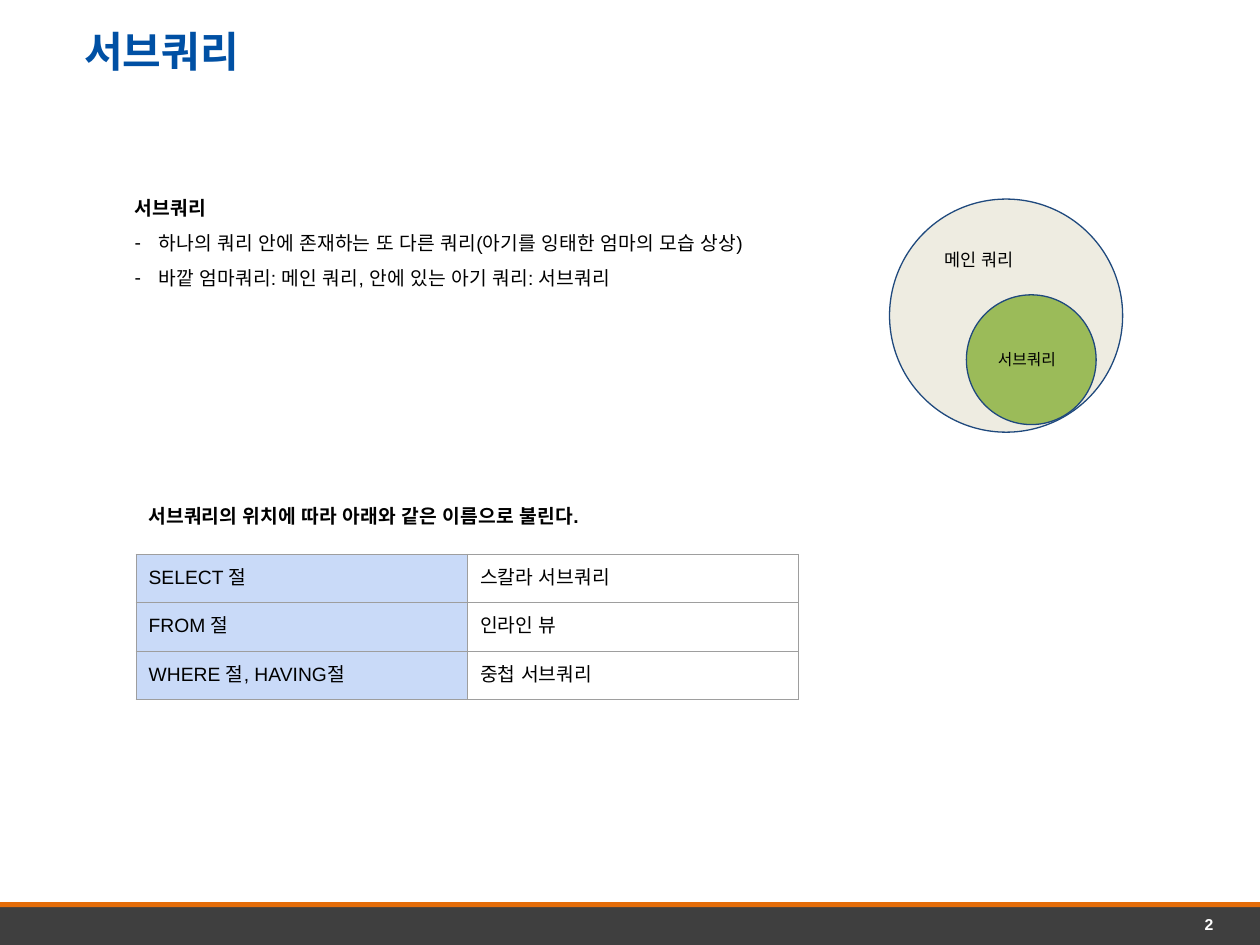
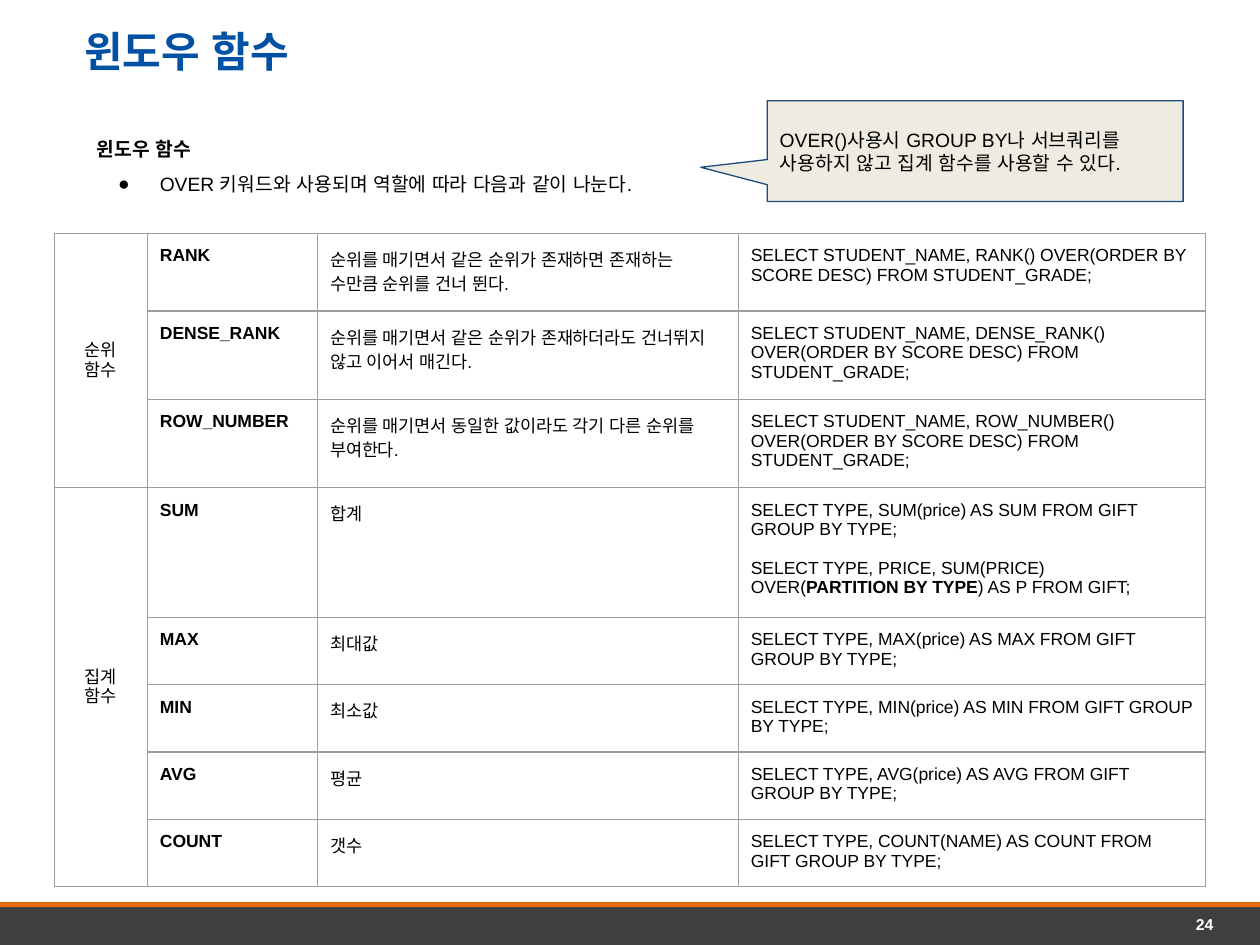
from lxml import etree
from pptx import Presentation
from pptx.dml.color import RGBColor
from pptx.enum.shapes import MSO_SHAPE
from pptx.enum.text import MSO_ANCHOR, PP_ALIGN
from pptx.oxml.ns import qn
from pptx.util import Inches, Pt

RECTANGLE = MSO_SHAPE.RECTANGLE
ELLIPSE = MSO_SHAPE.OVAL
CALLOUT = MSO_SHAPE.RECTANGULAR_CALLOUT
TOP, MIDDLE = MSO_ANCHOR.TOP, MSO_ANCHOR.MIDDLE
LEFT, CENTER, RIGHT = PP_ALIGN.LEFT, PP_ALIGN.CENTER, PP_ALIGN.RIGHT

FONT = "Arial"
BLACK, WHITE = "000000", "FFFFFF"
TITLE_BLUE, OUTLINE_BLUE, CELL_BLUE = "0050A4", "1F497D", "C9DAF8"
BAND_GRAY, BAND_ORANGE = "3F3F3F", "E36C09"
BEIGE, GREEN, BORDER_GRAY = "EEECE1", "9BBB59", "9E9E9E"
TEXT_INSETS = (0.1, 0.05, 0.1, 0.05)
EVEN_INSETS = (0.1, 0.1, 0.1, 0.1)

# Content of the subquery slide
SUBQUERY_HEADING = "서브쿼리"
SUBQUERY_POINTS = [
    "하나의 쿼리 안에 존재하는 또 다른 쿼리(아기를 잉태한 엄마의 모습 상상)",
    "바깥 엄마쿼리: 메인 쿼리, 안에 있는 아기 쿼리: 서브쿼리",
]
NAMES_HEADING = "서브쿼리의 위치에 따라 아래와 같은 이름으로 불린다."
SUBQUERY_NAMES = [
    ("SELECT 절", "스칼라 서브쿼리"),
    ("FROM 절", "인라인 뷰"),
    ("WHERE 절, HAVING절", "중첩 서브쿼리"),
]

# Content of the window function slide
WINDOW_HEADING = "윈도우 함수"
WINDOW_POINTS = ["OVER 키워드와 사용되며 역할에 따라 다음과 같이 나눈다."]
OVER_NOTE = "OVER()사용시 GROUP BY나 서브쿼리를 사용하지 않고 집계 함수를 사용할 수 있다."
# Each function: name, meaning, row height, queries (a tuple is a query in parts, odd ones bold)
FUNCTION_GROUPS = [
    ("순위 함수", [
        ("RANK", "순위를 매기면서 같은 순위가 존재하면 존재하는 수만큼 순위를 건너 뛴다.", 0.54,
         ["SELECT STUDENT_NAME, RANK() OVER(ORDER BY SCORE DESC) FROM STUDENT_GRADE;"]),
        ("DENSE_RANK", "순위를 매기면서 같은 순위가 존재하더라도 건너뛰지 않고 이어서 매긴다.", 0.7,
         ["SELECT STUDENT_NAME, DENSE_RANK() OVER(ORDER BY SCORE DESC) FROM STUDENT_GRADE;"]),
        ("ROW_NUMBER", "순위를 매기면서 동일한 값이라도 각기 다른 순위를 부여한다.", 0.7,
         ["SELECT STUDENT_NAME, ROW_NUMBER() OVER(ORDER BY SCORE DESC) FROM STUDENT_GRADE;"]),
    ]),
    ("집계 함수", [
        ("SUM", "합계", 1.03,
         ["SELECT TYPE, SUM(price) AS SUM FROM GIFT GROUP BY TYPE;",
          ("SELECT TYPE, PRICE, SUM(PRICE) OVER(", "PARTITION BY TYPE", ") AS P FROM GIFT;")]),
        ("MAX", "최대값", 0.53, ["SELECT TYPE, MAX(price) AS MAX FROM GIFT GROUP BY TYPE;"]),
        ("MIN", "최소값", 0.53, ["SELECT TYPE, MIN(price) AS MIN FROM GIFT GROUP BY TYPE;"]),
        ("AVG", "평균", 0.53, ["SELECT TYPE, AVG(price) AS AVG FROM GIFT GROUP BY TYPE;"]),
        ("COUNT", "갯수", 0.53, ["SELECT TYPE, COUNT(NAME) AS COUNT FROM GIFT GROUP BY TYPE;"]),
    ]),
]
FUNCTION_COLUMNS = [0.74, 1.35, 3.34, 3.71]


def color(value):
    return RGBColor.from_string(value)


def write(para, text, size, fill=BLACK, bold=False, align=LEFT, spacing=None,
          before=None, bullet=None, indent=(0, 0)):
    """Fill a paragraph; text given as a tuple has its odd parts in bold."""
    para.alignment = align
    if spacing:
        para.line_spacing = spacing
    if before:
        para.space_before = Pt(before)
    properties = para._p.get_or_add_pPr()
    if bullet:
        margin, hanging = indent
        properties.set("marL", str(Inches(margin)))
        properties.set("indent", str(Inches(hanging)))
        bullet_color = etree.SubElement(properties, qn("a:buClr"))
        etree.SubElement(bullet_color, qn("a:srgbClr"), val=BLACK)
        etree.SubElement(properties, qn("a:buFont"), typeface=FONT)
        etree.SubElement(properties, qn("a:buChar"), char=bullet)
    font = para.font
    font.size, font.bold, font.name = Pt(size), bold, FONT
    font.color.rgb = color(fill)
    etree.SubElement(properties.find(qn("a:defRPr")), qn("a:ea"), typeface=FONT)
    parts = text if isinstance(text, tuple) else (text,)
    for position, part in enumerate(parts):
        span = para.add_run()
        span.text = part
        if len(parts) > 1:
            span.font.bold = position % 2 == 1


def set_frame(frame, insets, anchor=TOP):
    frame.word_wrap = True
    frame.vertical_anchor = anchor
    (frame.margin_left, frame.margin_top,
     frame.margin_right, frame.margin_bottom) = map(Inches, insets)


def add_text(page, place, text, size, insets=TEXT_INSETS, **style):
    box = page.shapes.add_textbox(*map(Inches, place))
    set_frame(box.text_frame, insets)
    write(box.text_frame.paragraphs[0], text, size, **style)
    return box.text_frame


def add_points(page, place, heading, points, bullet, indent):
    frame = add_text(page, place, heading, 11, bold=True, spacing=1.5)
    for point in points:
        write(frame.add_paragraph(), point, 11, spacing=1.5, bullet=bullet, indent=indent)


def add_shape(page, kind, place, fill, outline=None, text=None, size=11):
    shape = page.shapes.add_shape(kind, *map(Inches, place))
    shape.shadow.inherit = False
    shape.fill.solid()
    shape.fill.fore_color.rgb = color(fill)
    if outline:
        shape.line.color.rgb = color(outline)
        shape.line.width = Pt(0.75)
    else:
        shape.line.fill.background()
    if text:
        set_frame(shape.text_frame, EVEN_INSETS, MIDDLE)
        write(shape.text_frame.paragraphs[0], text, size)
    return shape


def add_grid(page, left, top, widths, heights):
    """Add a bordered table without style bands."""
    place = map(Inches, (left, top, sum(widths), sum(heights)))
    table = page.shapes.add_table(len(heights), len(widths), *place).table
    table.first_row = table.horz_banding = False
    for column, width in zip(table.columns, widths):
        column.width = Inches(width)
    for row, height in zip(table.rows, heights):
        row.height = Inches(height)
    for cell in table.iter_cells():
        cell.margin_left = cell.margin_right = Inches(0.1)
        cell.margin_top = cell.margin_bottom = Inches(0.1)
        cell.fill.background()
        properties = cell._tc.get_or_add_tcPr()
        for position, side in enumerate(("lnL", "lnR", "lnT", "lnB")):
            border = etree.Element(qn("a:" + side), w=str(Pt(0.75)))
            paint = etree.SubElement(border, qn("a:solidFill"))
            etree.SubElement(paint, qn("a:srgbClr"), val=BORDER_GRAY)
            properties.insert(position, border)
    return table


def add_page(deck, title, number):
    """Add a blank page with the shared bands, page number and title."""
    page = deck.slides.add_slide(deck.slide_layouts[6])
    add_shape(page, RECTANGLE, (0, 7.19, 10, 0.31), BAND_GRAY)
    add_shape(page, RECTANGLE, (0, 7.16, 10, 0.04), BAND_ORANGE)
    add_text(page, (6.98, 7.26, 2.65, 0.15), str(number), 9, insets=(0, 0, 0, 0),
             fill=WHITE, bold=True, align=RIGHT)
    add_text(page, (0, 0, 10, 0.65), title, 24, insets=(0.67, 0.2, 0.1, 0.05),
             fill=TITLE_BLUE, bold=True)
    return page


def build_subquery_page(deck):
    page = add_page(deck, SUBQUERY_HEADING, 2)
    add_points(page, (0.97, 1.42, 6.3, 0.84), SUBQUERY_HEADING, SUBQUERY_POINTS,
               "-", (0.19, -0.19))

    # Names by position
    table = add_grid(page, 1.08, 4.4, [2.63] * 2, [0.38] * len(SUBQUERY_NAMES))
    for row, texts in enumerate(SUBQUERY_NAMES):
        for column, text in enumerate(texts):
            write(table.cell(row, column).text_frame.paragraphs[0], text, 11)
        clause_cell = table.cell(row, 0)
        clause_cell.fill.solid()
        clause_cell.fill.fore_color.rgb = color(CELL_BLUE)

    # Subquery inside the main query
    add_shape(page, ELLIPSE, (7.06, 1.58, 1.85, 1.85), BEIGE, OUTLINE_BLUE)
    add_shape(page, ELLIPSE, (7.67, 2.34, 1.03, 1.03), GREEN, OUTLINE_BLUE, "서브쿼리", 9)
    add_text(page, (7.4, 1.89, 1.5, 0.37), "메인 쿼리", 10, insets=EVEN_INSETS)
    add_text(page, (1.08, 3.86, 6.3, 0.29), NAMES_HEADING, 11, bold=True, spacing=1.5)


def build_window_page(deck):
    page = add_page(deck, WINDOW_HEADING, 24)
    add_points(page, (0.67, 0.95, 6.3, 0.56), WINDOW_HEADING, WINDOW_POINTS,
               "●", (0.5, -0.33))

    # Functions by group
    heights = [function[2] for _, functions in FUNCTION_GROUPS for function in functions]
    table = add_grid(page, 0.43, 1.85, FUNCTION_COLUMNS, heights)
    row = 0
    for group, functions in FUNCTION_GROUPS:
        group_cell = table.cell(row, 0)
        group_cell.merge(table.cell(row + len(functions) - 1, 0))
        group_cell.vertical_anchor = MIDDLE
        write(group_cell.text_frame.paragraphs[0], group, 10, align=CENTER)
        for name, meaning, _, queries in functions:
            name_frame, meaning_frame, query_frame = (
                table.cell(row, column).text_frame for column in (1, 2, 3))
            write(name_frame.paragraphs[0], name, 10, bold=True)
            write(meaning_frame.paragraphs[0], meaning, 10, spacing=1.25)
            write(query_frame.paragraphs[0], queries[0], 10)
            for query in queries[1:]:
                write(query_frame.add_paragraph(), query, 10, before=11)
            row += 1

    # Note on OVER()
    callout = add_shape(page, CALLOUT, (6.09, 0.8, 3.3, 0.8), BEIGE, OUTLINE_BLUE, OVER_NOTE)
    callout.adjustments[0] = -0.66
    callout.adjustments[1] = 0.16


def main():
    deck = Presentation()
    deck.slide_width, deck.slide_height = Inches(10), Inches(7.5)
    build_subquery_page(deck)
    build_window_page(deck)
    deck.save("out.pptx")


if __name__ == "__main__":
    main()
